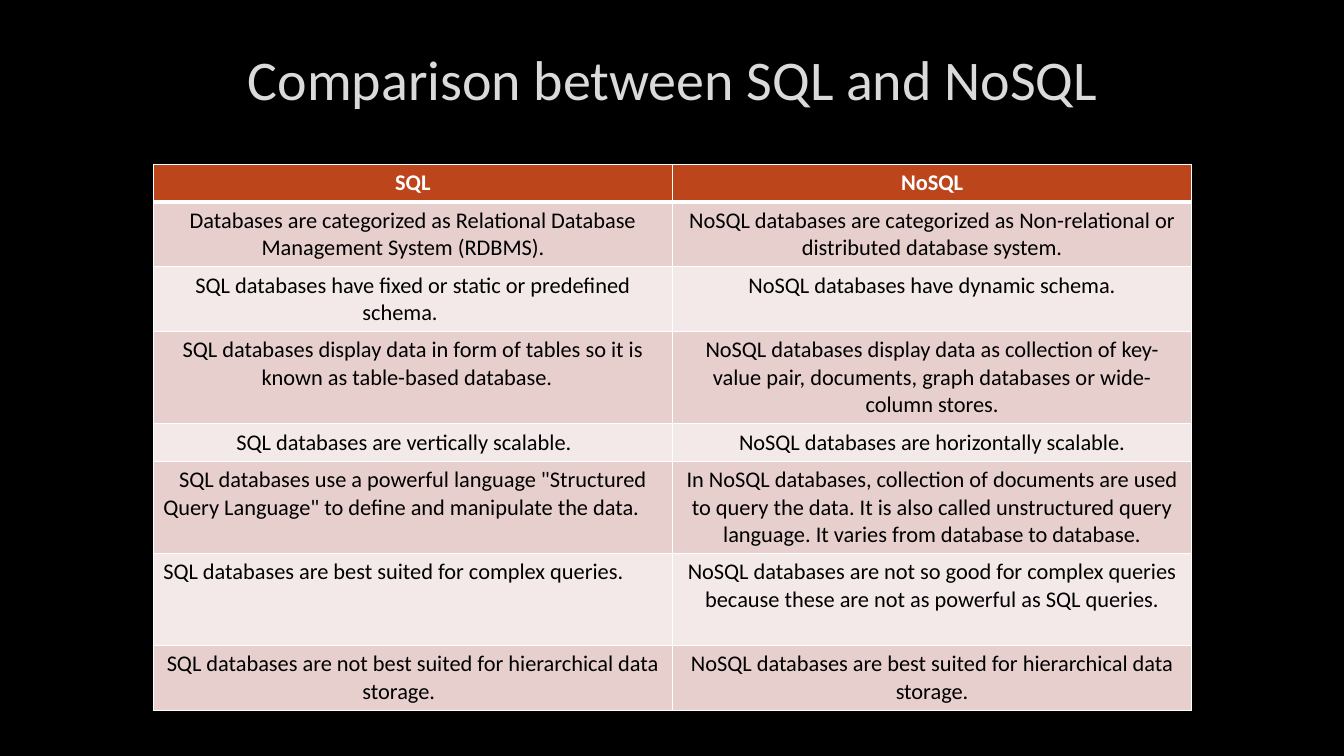
from dataclasses import dataclass

from lxml import etree
from pptx import Presentation
from pptx import util as u
from pptx.dml.color import RGBColor
from pptx.enum import text
from pptx.oxml import ns

WIDE, HIGH = u.Inches(13.33), u.Inches(7.5)
HUES = {"back": "000000", "title": "DADADA", "edge": "404040", "head": "BC451B",
        "dark": "E7CFCD", "light": "F3E9E8", "line": "FFFFFF", "ink": "000000"}
TAB = "\t"  # ends each SQL entry and shifts its last centred line


@dataclass
class Pair:
    sql: str
    nosql: str
    lines: int  # row height in lines of text


PAIRS = [
    Pair("SQL", "NoSQL", 1),
    Pair("Databases are categorized as Relational Database Management System (RDBMS)." + TAB,
         "NoSQL databases are categorized as Non-relational or distributed database system.", 2),
    Pair("SQL databases have fixed or static or predefined schema." + TAB,
         "NoSQL databases have dynamic schema.", 2),
    Pair("SQL databases display data in form of tables so it is known as "
         "table-based database." + TAB,
         "NoSQL databases display data as collection of key-value pair, documents, "
         "graph databases or wide-column stores.", 3),
    Pair("SQL databases are vertically scalable." + TAB,
         "NoSQL databases are horizontally scalable.", 1),
    Pair('SQL databases use a powerful language "Structured Query Language" '
         "to define and manipulate the data." + TAB,
         "In NoSQL databases, collection of documents are used to query the data. "
         "It is also called unstructured query language. "
         "It varies from database to database.", 3),
    Pair("SQL databases are best suited for complex queries." + TAB,
         "NoSQL databases are not so good for complex queries because these are "
         "not as powerful as SQL queries.", 3),
    Pair("SQL databases are not best suited for hierarchical data storage." + TAB,
         "NoSQL databases are best suited for hierarchical data storage.", 2),
]


def tint(name: str) -> RGBColor:
    return RGBColor.from_string(HUES[name])


def share(x: float, y: float, w: float, h: float) -> dict[str, int]:
    """Turn percentages of the slide into a box."""
    return {"left": int(WIDE * x / 100), "top": int(HIGH * y / 100),
            "width": int(WIDE * w / 100), "height": int(HIGH * h / 100)}


def style(para, hue: str, size: float, bold: bool) -> None:
    para.alignment = text.PP_ALIGN.CENTER
    font = para.runs[0].font
    for key, value in {"name": "Calibri", "size": u.Pt(size), "bold": bold}.items():
        setattr(font, key, value)
    font.color.rgb = tint(hue)


def stroke(tag: str, points: float, hue: str, alpha: int = 100):
    """Make a solid line element for a cell side or a text outline."""
    line = etree.Element(ns.qn(tag), w=str(u.Pt(points)))
    solid = etree.SubElement(line, ns.qn("a:solidFill"))
    shade = etree.SubElement(solid, ns.qn("a:srgbClr"), val=HUES[hue])
    if alpha < 100:
        etree.SubElement(shade, ns.qn("a:alpha"), val=str(alpha * 1000))
    return line


def draw_title(slide) -> None:
    title = slide.shapes.title
    for key, value in share(7.58, 3.33, 84.92, 14.13).items():
        setattr(title, key, value)
    frame = title.text_frame
    frame.text = "Comparison between SQL and NoSQL"
    frame.vertical_anchor = text.MSO_ANCHOR.MIDDLE
    style(frame.paragraphs[0], "title", 40, False)
    props = frame.paragraphs[0].runs[0].font._element
    props.insert(0, stroke("a:ln", 0.75, "edge", 10))


def draw_cell(cell, words: str, row: int) -> None:
    cell.text = words
    style(cell.text_frame.paragraphs[0], "ink" if row else "line", 16, row == 0)
    # Sides go before the fill; a thick rule parts the head from the body
    sides = {"L": 1, "R": 1, "T": 3 if row == 1 else 1, "B": 1 if row else 3}
    props = cell._tc.get_or_add_tcPr()
    for side, points in sides.items():
        props.append(stroke(f"a:ln{side}", points, "line"))
    cell.fill.solid()
    cell.fill.fore_color.rgb = tint("head" if row == 0 else "dark" if row % 2 else "light")


def draw_table(slide) -> None:
    box = share(11.4, 21.73, 77.27, 71.73)
    table = slide.shapes.add_table(len(PAIRS), 2, **box).table
    table.horz_banding = False
    for row, pair in enumerate(PAIRS):
        table.rows[row].height = u.Inches(0.1 + 0.27 * pair.lines)
        for col, words in enumerate((pair.sql, pair.nosql)):
            draw_cell(table.cell(row, col), words, row)


def main() -> None:
    deck = Presentation()
    deck.slide_width, deck.slide_height = WIDE, HIGH
    slide = deck.slides.add_slide(deck.slide_layouts[5])
    # Background
    fill = slide.background.fill
    fill.solid()
    fill.fore_color.rgb = tint("back")
    # Content
    draw_title(slide)
    draw_table(slide)
    deck.save("out.pptx")


if __name__ == "__main__":
    main()
